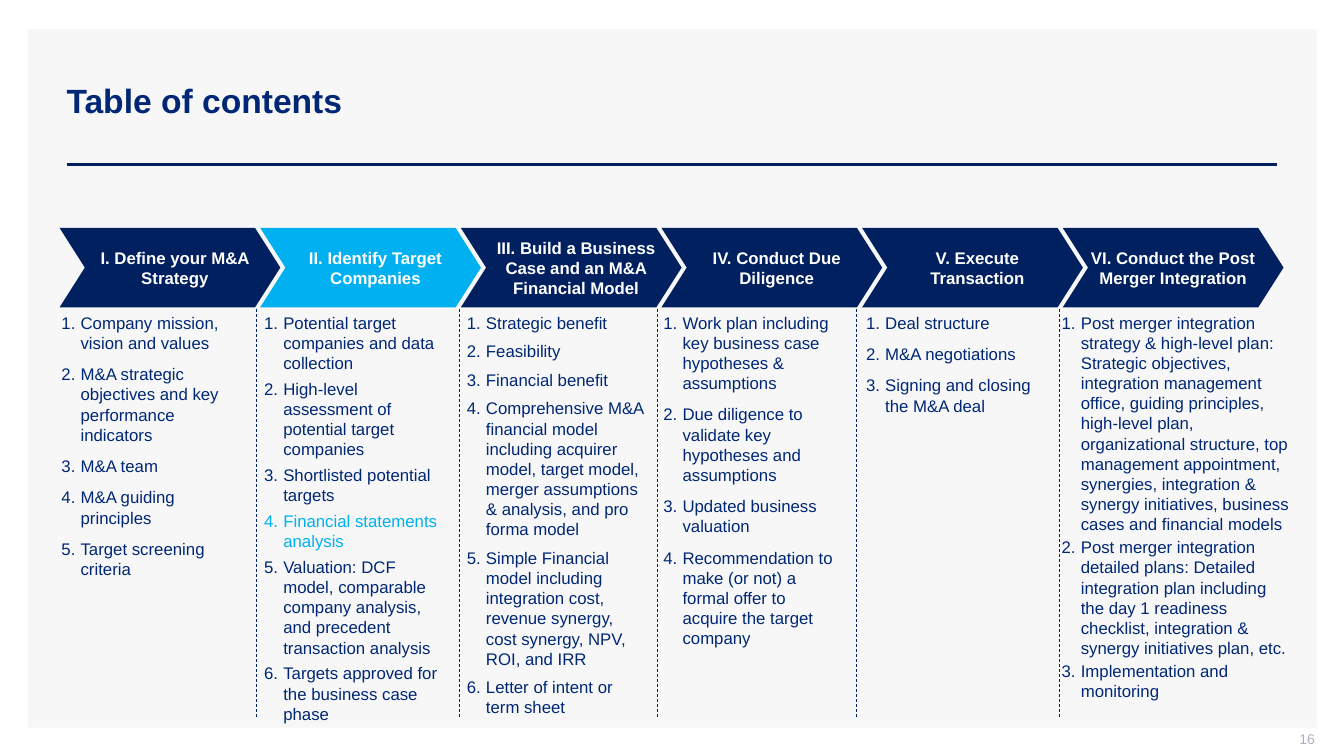
import pptx
import pptx.dml.color
import pptx.enum.dml
import pptx.enum.shapes
import pptx.enum.text
import pptx.oxml
import pptx.oxml.ns
import pptx.util
from pptx.util import Inches

NAVY, BLUE, CYAN = "002060", "002776", "00B0F0"
PHASES = [
    ("I. Define your M&A Strategy", 0.61, 1.87, 3.09, 4, [
        "Company mission, vision and values",
        "M&A strategic objectives and key performance indicators",
        "M&A team",
        "M&A guiding principles",
        "Target screening criteria"]),
    ("II. Identify Target Companies", 2.62, 1.87, 4.22, 2, [
        "Potential target companies and data collection",
        "High-level assessment of potential target companies",
        "Shortlisted potential targets",
        "Financial statements analysis",
        "Valuation: DCF model, comparable company analysis, and precedent transaction analysis",
        "Targets approved for the business case phase"]),
    ("III. Build a Business Case and an M&A Financial Model", 4.63, 1.87, 4.3, 3, [
        "Strategic benefit",
        "Feasibility",
        "Financial benefit",
        "Comprehensive M&A financial model including acquirer model, target model, "
        "merger assumptions & analysis, and pro forma model",
        "Simple Financial model including integration cost, revenue synergy, cost synergy, "
        "NPV, ROI, and IRR",
        "Letter of intent or term sheet"]),
    ("IV. Conduct Due Diligence", 6.58, 1.87, 3.47, 4, [
        "Work plan including key business case hypotheses & assumptions",
        "Due diligence to validate key hypotheses and assumptions",
        "Updated business valuation",
        "Recommendation to make (or not) a formal offer to acquire the target company"]),
    ("V. Execute Transaction", 8.59, 1.87, 1.13, 4, [
        "Deal structure",
        "M&A negotiations",
        "Signing and closing the M&A deal"]),
    ("VI. Conduct the Post Merger Integration", 10.53, 2.36, 4.2, 1, [
        "Post merger integration strategy & high-level plan: Strategic objectives, integration "
        "management office, guiding principles, high-level plan, organizational structure, top "
        "management appointment, synergies, integration & synergy initiatives, business cases "
        "and financial models",
        "Post merger integration detailed plans: Detailed integration plan including the day 1 "
        "readiness checklist, integration & synergy initiatives plan, etc.",
        "Implementation and monitoring"]),
]
CURRENT_PHASE = "II. Identify Target Companies"
CURRENT_ITEM = "Financial statements analysis"
DIVIDERS = [2.54, 4.56, 6.52, 8.49, 10.51]


def rgb(color):
    return pptx.dml.color.RGBColor.from_string(color)


class Deck:
    """Draws styled elements on the current slide."""

    def __init__(self, prs, font="Arial"):
        self.font = font
        self.slide = prs.slides.add_slide(prs.slide_layouts[5])

    def style(self, p, size, color, bold=False, align="LEFT"):
        p.alignment = getattr(pptx.enum.text.PP_ALIGN, align)
        p.font.name = self.font
        p.font.size = pptx.util.Pt(size)
        p.font.bold = bold
        p.font.color.rgb = rgb(color)

    def frame(self, sp, insets, anchor="MIDDLE"):
        tf = sp.text_frame
        tf.word_wrap = True
        tf.vertical_anchor = getattr(pptx.enum.text.MSO_ANCHOR, anchor)
        tf.margin_left, tf.margin_top, tf.margin_right, tf.margin_bottom = map(Inches, insets)
        return tf

    def title(self, text, x, y, w, h):
        sp = self.slide.shapes.title
        sp.left, sp.top, sp.width, sp.height = map(Inches, (x, y, w, h))
        tf = self.frame(sp, (0.1, 0.05, 0.1, 0.05))
        tf.text = text
        self.style(tf.paragraphs[0], 24, BLUE, bold=True)

    def shape(self, kind, x, y, w, h, fill):
        sp = self.slide.shapes.add_shape(
            getattr(pptx.enum.shapes.MSO_SHAPE, kind), *map(Inches, (x, y, w, h)))
        sp.shadow.inherit = False
        sp.fill.solid()
        sp.fill.fore_color.rgb = rgb(fill)
        sp.line.fill.background()
        return sp

    def chevron(self, text, x, fill, inset):
        sp = self.shape("CHEVRON", x, 2.26, 2.19, 0.79, fill)
        sp.adjustments[0] = 0.318
        tf = self.frame(sp, (inset, 0.05, 0, 0.05))
        tf.text = text
        self.style(tf.paragraphs[0], 12, "FFFFFF", bold=True, align="CENTER")

    def line(self, x1, y1, x2, y2, width, dashed=False):
        cx = self.slide.shapes.add_connector(
            pptx.enum.shapes.MSO_CONNECTOR.STRAIGHT, *map(Inches, (x1, y1, x2, y2)))
        cx.line.color.rgb = rgb(NAVY)
        cx.line.width = pptx.util.Pt(width)
        if dashed:
            cx.line.dash_style = pptx.enum.dml.MSO_LINE.DASH
        sp_pr = cx._element.spPr
        sp_pr.append(pptx.oxml.parse_xml(
            f"<a:effectLst {pptx.oxml.ns.nsdecls('a')}/>"))

    def numbered_list(self, items, x, w, h, gap):
        sp = self.slide.shapes.add_textbox(*map(Inches, (x, 3.05, w, h)))
        tf = self.frame(sp, (0, 0.05, 0.1, 0.05), "TOP")
        tf.auto_size = pptx.enum.text.MSO_AUTO_SIZE.SHAPE_TO_FIT_TEXT
        for i, item in enumerate(items):
            p = tf.add_paragraph() if i else tf.paragraphs[0]
            p.text = item
            p_pr = p._p.get_or_add_pPr()
            p_pr.set("marL", str(Inches(0.19)))
            p_pr.set("indent", str(-Inches(0.19)))
            p_pr.append(pptx.oxml.parse_xml(
                f"<a:buAutoNum {pptx.oxml.ns.nsdecls('a')} type='arabicPeriod'/>"))
            p.space_before = pptx.util.Pt(gap if i else 0)
            p.space_after = pptx.util.Pt(gap)
            self.style(p, 12, CYAN if item == CURRENT_ITEM else BLUE)

    def page_number(self, text):
        sp = self.slide.shapes.add_textbox(*map(Inches, (10.04, 7.25, 3, 0.21)))
        tf = self.frame(sp, (0.1, 0, 0, 0.05))
        tf.text = text
        self.style(tf.paragraphs[0], 10, "ADAFBB", align="RIGHT")


prs = pptx.Presentation()
prs.slide_width, prs.slide_height = Inches(13.33), Inches(7.5)
deck = Deck(prs)
panel = deck.shape("RECTANGLE", 0.28, 0.29, 12.78, 6.93, "F7F7F7")
deck.slide.shapes.title._element.addprevious(panel._element)
deck.line(0.66, 1.63, 12.67, 1.63, 2)
deck.title("Table of contents", 0.56, 0.4, 11.45, 1.19)
deck.page_number("16")

for i, (name, x, w, h, gap, items) in enumerate(PHASES):
    fill = CYAN if name == CURRENT_PHASE else NAVY
    inset = 0 if i == len(PHASES) - 1 else 0.1
    deck.chevron(name, 0.59 + 1.99 * i, fill, inset)
    deck.numbered_list(items, x, w, h, gap)
for x in DIVIDERS:
    deck.line(x, 3.07, x, 7.13, 0.5, dashed=True)

prs.save("out.pptx")
